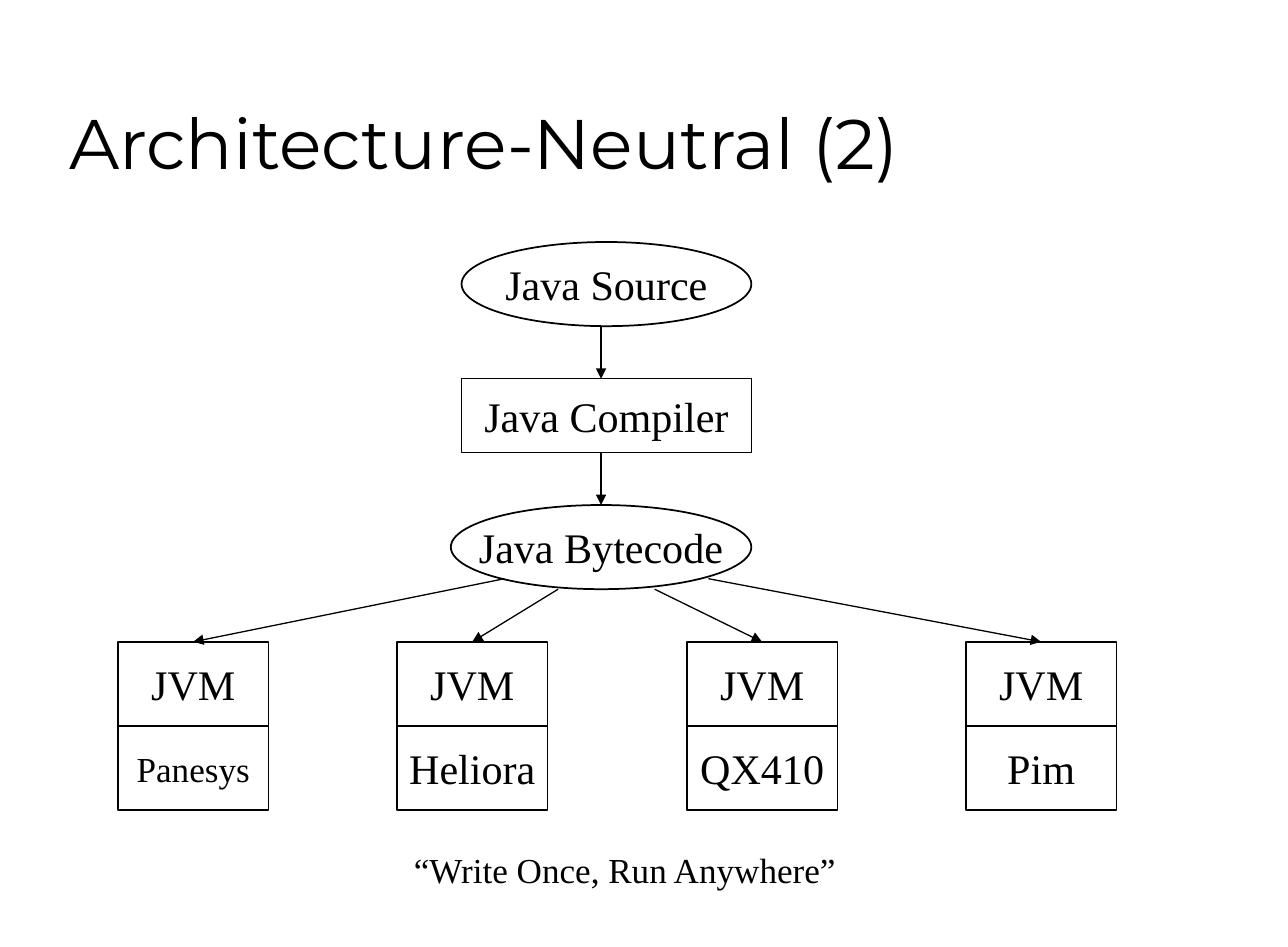
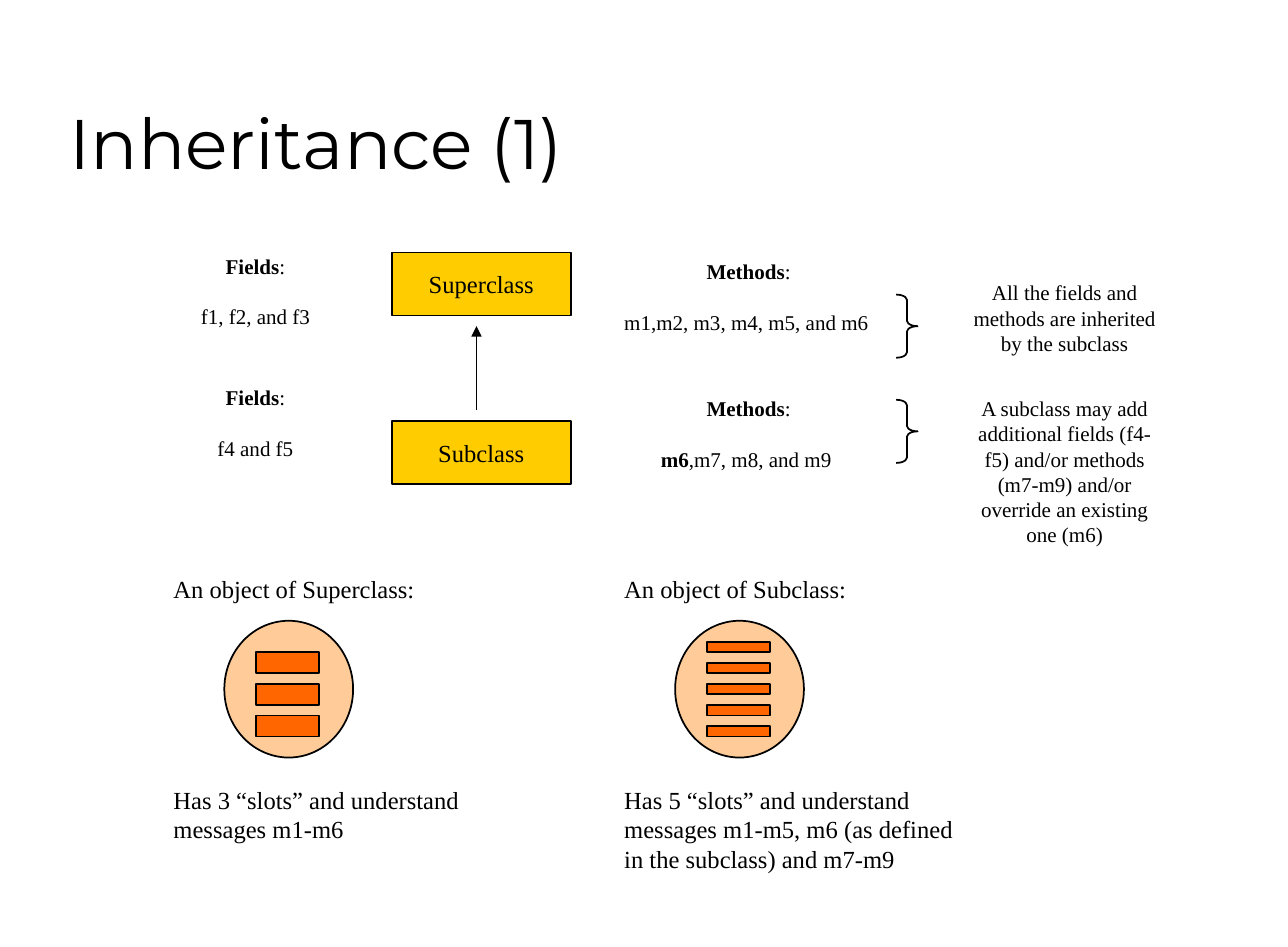
from dataclasses import dataclass

from lxml import etree
from pptx import Presentation
from pptx.dml.color import RGBColor
from pptx.enum.shapes import MSO_CONNECTOR, MSO_SHAPE as SHAPE
from pptx.enum.text import MSO_ANCHOR as ANCHOR, PP_ALIGN as ALIGN
from pptx.oxml.ns import qn
from pptx.util import Inches, Pt

WIDTH, HEIGHT = Inches(10.2), Inches(7.5)
COLS, ROWS = 120, 90


@dataclass(frozen=True)
class Theme:
    title_font: str = "Montserrat"
    body_font: str = "Times New Roman"
    ink: str = "000000"
    paper: str = "FFFFFF"
    class_fill: str = "FFCC00"
    object_fill: str = "FFCC99"
    slot_fill: str = "FF6600"
    title: int = 40
    large: int = 24
    medium: int = 20
    label: int = 14
    small: int = 12
    thin: float = 0.75
    line: float = 1


T = Theme()


# Grid helpers
def x(col):
    return round(WIDTH * col / COLS)


def y(row):
    return round(HEIGHT * row / ROWS)


def area(col, row, cols, rows):
    return x(col), y(row), x(cols), y(rows)


# Elements
def add_run(p, text, size, bold=False, font=T.body_font):
    r = p.add_run()
    r.text = text
    r.font.name, r.font.size, r.font.bold = font, Pt(size), bold
    r.font.color.rgb = RGBColor.from_string(T.ink)


def add_title_slide(prs, text):
    s = prs.slides.add_slide(prs.slide_layouts[5])
    title = s.shapes.title
    title.left, title.top, title.width, title.height = area(5.3, 3, 102, 15)
    tf = title.text_frame
    tf.vertical_anchor = ANCHOR.BOTTOM
    p = tf.paragraphs[0]
    p.alignment = ALIGN.LEFT
    add_run(p, text, T.title, font=T.title_font)
    return s


def add_box(shapes, kind, place, fill=None, text="", size=T.large, line=T.line):
    sp = shapes.add_shape(kind, *place)
    sp.shadow.inherit = False
    if fill:
        sp.fill.solid()
        sp.fill.fore_color.rgb = RGBColor.from_string(fill)
    else:
        sp.fill.background()
    sp.line.color.rgb = RGBColor.from_string(T.ink)
    sp.line.width = Pt(line)
    if text:
        tf = sp.text_frame
        tf.word_wrap = False
        tf.vertical_anchor = ANCHOR.MIDDLE
        p = tf.paragraphs[0]
        p.alignment = ALIGN.CENTER
        add_run(p, text, size)
    return sp


def add_arrow(s, start, end, width=T.thin):
    (c1, r1), (c2, r2) = start, end
    cn = s.shapes.add_connector(MSO_CONNECTOR.STRAIGHT, x(c1), y(r1), x(c2), y(r2))
    cn.line.color.rgb = RGBColor.from_string(T.ink)
    cn.line.width = Pt(width)
    etree.SubElement(cn.line._get_or_add_ln(), qn("a:tailEnd"), type="triangle")
    etree.SubElement(cn._element.spPr, qn("a:effectLst"))


def add_text(s, place, text, size, align=ALIGN.LEFT):
    tf = s.shapes.add_textbox(*place).text_frame
    tf.word_wrap = True
    p = tf.paragraphs[0]
    p.alignment = align
    add_run(p, text, size)
    return p


def add_members(s, place, heading, runs, align=ALIGN.CENTER, indent=0):
    """A bold heading with a colon, then a line of (text, bold) runs."""
    tf = s.shapes.add_textbox(*place).text_frame
    tf.word_wrap = True
    p = tf.paragraphs[0]
    p.alignment = ALIGN.CENTER
    add_run(p, heading, T.small, bold=True)
    add_run(p, ":", T.small)
    p = tf.add_paragraph()
    p.alignment = align
    p.space_before = Pt(14.4)
    if indent:
        p._p.get_or_add_pPr().set("marL", str(Inches(indent)))
    for text, bold in runs:
        add_run(p, text, T.small, bold)


def add_brace(s, row):
    sp = add_box(s.shapes, SHAPE.RIGHT_BRACE, area(83.5, row, 2, 6))
    sp.adjustments[0] = 0.25


def add_object(s, col, caption, message, slots, first_row, slot_rows, step, cols):
    """A captioned circle with its slots and the message below."""
    add_text(s, area(col, 54, 42, 7), caption, T.label)
    group = s.shapes.add_group_shape().shapes
    add_box(group, SHAPE.OVAL, area(col + 5.9, 59, 12, 13), T.object_fill)
    for i in range(slots):
        place = area(col + 8.85, first_row + i * step, 5.9, slot_rows)
        add_box(group, SHAPE.RECTANGLE, place, T.slot_fill)
    add_text(s, area(col, 74, cols, 10), message, T.label)


# Slides
def add_architecture(prs):
    s = add_title_slide(prs, "Architecture-Neutral (2)")

    # From source to bytecode
    add_box(s.shapes, SHAPE.RECTANGLE, area(43, 36, 27, 7), T.paper,
            "Java Compiler", line=T.thin)
    add_box(s.shapes, SHAPE.OVAL, area(43, 23, 27, 8), text="Java Source")
    add_box(s.shapes, SHAPE.OVAL, area(42, 48, 28, 8), text="Java Bytecode")
    for top, bottom in ((31, 36), (43, 48)):
        add_arrow(s, (56, top), (56, bottom))

    # One virtual machine per platform
    platforms = (
        (11, "Panesys", T.medium, (47, 55)),
        (37, "Heliora", T.large, (52, 56)),
        (64, "QX410", T.large, (61, 56)),
        (90, "Pim", T.large, (66, 55)),
    )
    for col, name, size, start in platforms:
        for row, text, pt in ((61, "JVM", T.large), (69, name, size)):
            add_box(s.shapes, SHAPE.RECTANGLE, area(col, row, 14, 8), T.paper,
                    text, pt, T.thin)
        add_arrow(s, start, (col + 7, 61))

    p = add_text(s, area(37.4, 80, 42, 5.3), "“Write Once, Run Anywhere”", T.medium)
    p.space_before = Pt(12.5)


def add_inheritance(prs):
    s = add_title_slide(prs, "Inheritance (1)")
    left, right, notes = 15, 57, 89.4

    # Class hierarchy
    for row, name in ((24, "Superclass"), (40, "Subclass")):
        add_box(s.shapes, SHAPE.RECTANGLE, area(36.5, row, 16.7, 6),
                T.class_fill, name, T.label)
    add_arrow(s, (44.4, 39), (44.4, 31), T.line)

    # Fields and methods
    for row, fields in ((23.5, "f1, f2, and f3"), (36, "f4 and f5")):
        add_members(s, area(left, row, 17.6, 10.8), "Fields", [(fields, False)])
    add_members(s, area(right, 24, 25.5, 10.8), "Methods",
                [("m1,m2, m3, m4, m5, and m6", False)], ALIGN.LEFT)
    add_members(s, area(right, 37, 25.5, 10.8), "Methods",
                [("m6", True), (",m7, m8, and m9", False)], ALIGN.LEFT, 0.29)

    # Remarks
    remarks = (
        (28, 26, "All the fields and methods are inherited by the subclass"),
        (38, 37, "A subclass may add additional fields (f4-f5) and/or methods "
                 "(m7-m9) and/or override an existing one (m6)"),
    )
    for brace_row, row, text in remarks:
        add_brace(s, brace_row)
        add_text(s, area(notes, row, 19.6, 18), text, T.small, ALIGN.CENTER)

    # Objects
    add_object(s, left, "An object of Superclass:",
               "Has 3 “slots” and understand messages m1-m6",
               slots=3, first_row=62, slot_rows=2, step=3, cols=32.4)
    add_object(s, right, "An object of Subclass:",
               "Has 5 “slots” and understand messages m1-m5, m6 "
               "(as defined in the subclass) and m7-m9",
               slots=5, first_row=61, slot_rows=1, step=2, cols=34.4)


def main():
    prs = Presentation()
    prs.slide_width, prs.slide_height = WIDTH, HEIGHT
    add_architecture(prs)
    add_inheritance(prs)
    prs.save("out.pptx")


if __name__ == "__main__":
    main()
